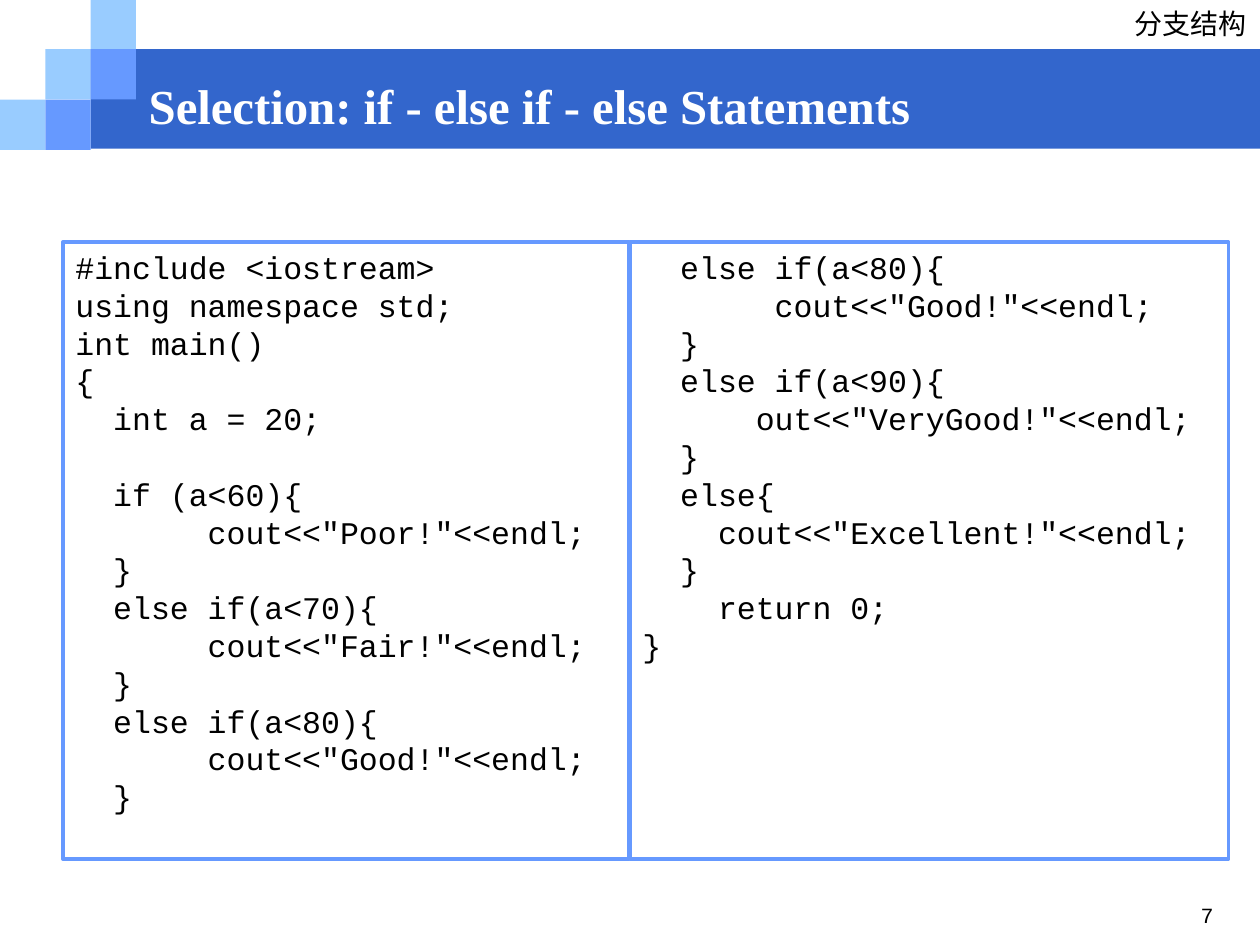
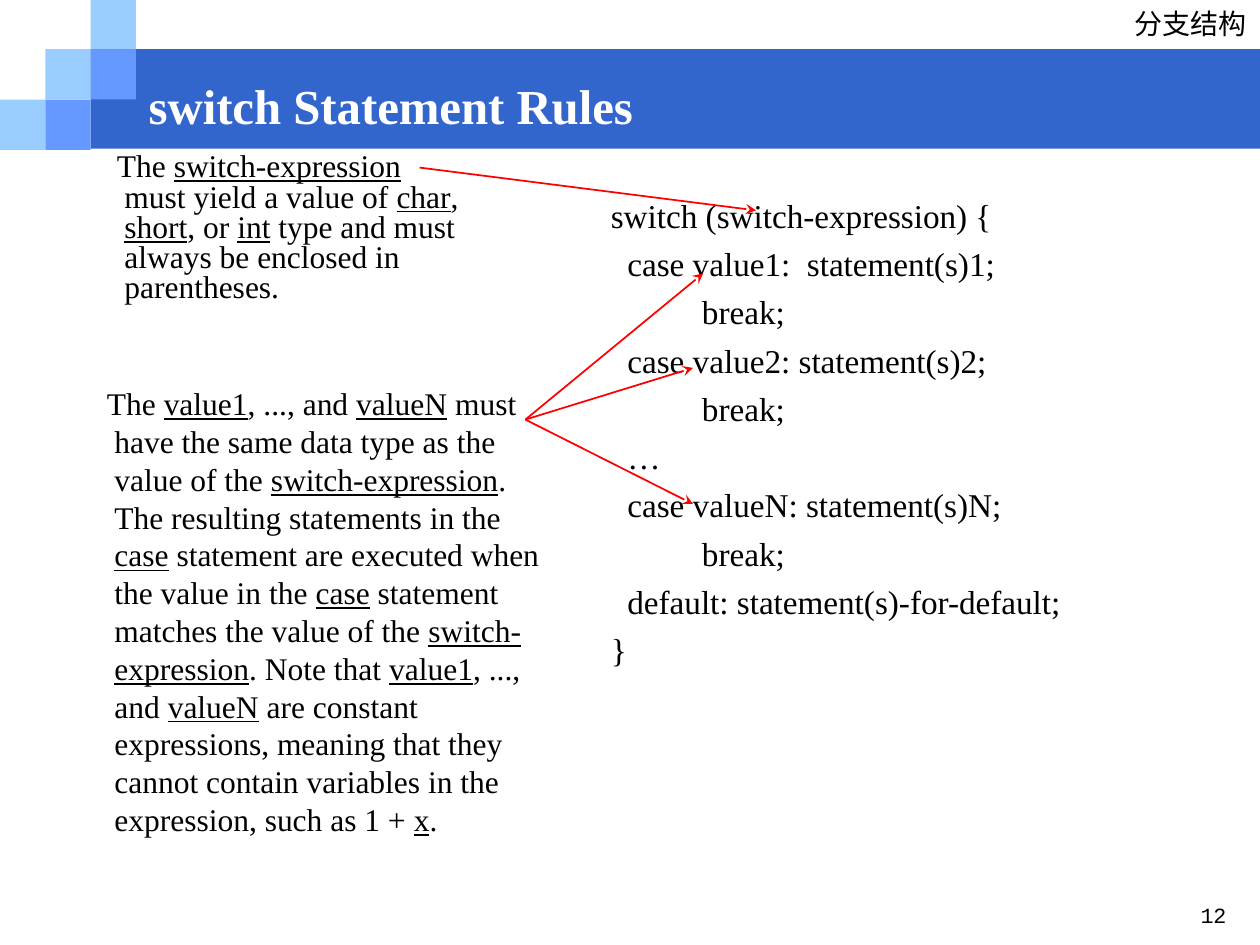
from dataclasses import dataclass

from lxml import etree
from pptx import Presentation
from pptx.dml.color import RGBColor
from pptx.enum.shapes import MSO_CONNECTOR, MSO_SHAPE
from pptx.enum.text import MSO_ANCHOR, MSO_AUTO_SIZE, PP_ALIGN
from pptx.oxml.ns import qn
from pptx.util import Inches, Pt

RECTANGLE = MSO_SHAPE.RECTANGLE
STRAIGHT = MSO_CONNECTOR.STRAIGHT
TOP, MIDDLE = MSO_ANCHOR.TOP, MSO_ANCHOR.MIDDLE
LEFT, RIGHT = PP_ALIGN.LEFT, PP_ALIGN.RIGHT
NO_AUTOFIT = MSO_AUTO_SIZE.NONE

# Colours and fonts
BAND, LIGHT, MID = "3366CC", "99CCFF", "6699FF"
WHITE, BLACK, RED = "FFFFFF", "000000", "FF0000"
SERIF, MONO, CJK = "Times New Roman", "Courier New", "Noto Sans CJK SC"

# Corner staircase: column and row of each square
CELL_W, CELL_H = 0.36, 0.4
ROW_TOPS = (0, 0.39, 0.79)
STAIRS = {LIGHT: ((0, 2), (1, 1), (2, 0)), MID: ((2, 1), (1, 2))}
TOPIC = "分支结构"
TITLE_ONLY = 5


@dataclass(frozen=True)
class Box:
    left: float
    top: float
    width: float
    height: float

    def lengths(self) -> tuple:
        return tuple(Inches(v) for v in (self.left, self.top, self.width, self.height))


@dataclass(frozen=True)
class Style:
    font: str
    size: float
    color: str = BLACK
    bold: bool = False
    align: PP_ALIGN = LEFT
    line_spacing: float = 1.0
    space_before: float = 0
    hanging: float = 0


@dataclass(frozen=True)
class Rule:
    """A rule with _underlined_ terms and arrows to where it applies."""
    box: Box
    style: Style
    text: str
    arrow_start: tuple[float, float]
    arrow_ends: tuple[tuple[float, float], ...]


TITLE = Style(SERIF, 27.9, WHITE, bold=True, line_spacing=0.8)
TOPIC_LABEL = Style(CJK, 16, align=RIGHT)
PAGE_NUMBER = Style(MONO, 12.4, line_spacing=0.8)
CODE = Style(MONO, 18)
SYNTAX = Style(SERIF, 19, space_before=4.8)
TIGHT_RULE = Style(SERIF, 18, line_spacing=0.8, hanging=0.06)
LOOSE_RULE = Style(SERIF, 18, hanging=0.06)

CODE_PANELS = (
    (Box(0.5, 1.92, 4.49, 4.9), """#include <iostream>
using namespace std;
int main()
{
  int a = 20;

  if (a<60){
       cout<<"Poor!"<<endl;
  }
  else if(a<70){
       cout<<"Fair!"<<endl;
  }
  else if(a<80){
       cout<<"Good!"<<endl;
  }"""),
    (Box(5, 1.92, 4.75, 4.9), """  else if(a<80){
       cout<<"Good!"<<endl;
  }
  else if(a<90){
      out<<"VeryGood!"<<endl;
  }
  else{
    cout<<"Excellent!"<<endl;
  }
    return 0;
}"""),
)

SWITCH_SYNTAX = """switch (switch-expression) {
  case value1:  statement(s)1;
           break;
  case value2: statement(s)2;
           break;
  …
  case valueN: statement(s)N;
           break;
  default: statement(s)-for-default;
}"""

RULES = (
    Rule(Box(0.83, 1.17, 3, 1.42), TIGHT_RULE,
         "The _switch-expression_ must yield a value of _char_, _short_, or _int_ "
         "type and must always be enclosed in parentheses.",
         (3.33, 1.33), ((6, 1.67),)),
    Rule(Box(0.75, 3, 3.75, 3.75), LOOSE_RULE,
         "The _value1_, ..., and _valueN_ must have the same data type as the value "
         "of the _switch-expression_. The resulting statements in the _case_ statement "
         "are executed when the value in the _case_ statement matches the value of the "
         "_switch-expression_. Note that _value1_, ..., and _valueN_ are constant "
         "expressions, meaning that they cannot contain variables in the expression, "
         "such as 1 + _x_.",
         (4.17, 3.33), ((5.58, 2.17), (5.5, 2.92), (5.5, 4))),
)


def rgb(color: str) -> RGBColor:
    return RGBColor.from_string(color)


def write(tf, text: str, style: Style, anchor=TOP, wrap: bool = True) -> None:
    """Fill a text frame; an empty line becomes space before the next one."""
    tf.word_wrap, tf.auto_size, tf.vertical_anchor = wrap, NO_AUTOFIT, anchor
    tf.margin_left = tf.margin_right = Inches(0.1)
    tf.margin_top = tf.margin_bottom = Inches(0.05)
    p, gap = None, 0
    for line in text.split("\n"):
        if not line:
            gap = style.size * 1.2
            continue
        before = style.space_before + gap if p is not None else 0
        p = tf.paragraphs[0] if p is None else tf.add_paragraph()
        p.alignment, p.line_spacing = style.align, style.line_spacing
        p.space_before, gap = Pt(before), 0
        if style.hanging:
            p_pr = p._p.get_or_add_pPr()
            p_pr.set("marL", str(Inches(style.hanging)))
            p_pr.set("indent", str(-Inches(style.hanging)))
        for i, part in enumerate(line.split("_")):
            if part:
                add_run(p, part, style, underline=i % 2 == 1)


def add_run(p, text: str, style: Style, underline: bool) -> None:
    r = p.add_run()
    r.text = text
    f = r.font
    f.name, f.size, f.bold = style.font, Pt(style.size), style.bold
    f.color.rgb = rgb(style.color)
    if underline:
        f.underline = True
    if style.font == CJK:
        etree.SubElement(r._r.get_or_add_rPr(), qn("a:ea"), typeface=CJK)


def add_rect(s, box: Box, fill: str, line: str = ""):
    sp = s.shapes.add_shape(RECTANGLE, *box.lengths())
    sp.shadow.inherit = False
    sp.fill.solid()
    sp.fill.fore_color.rgb = rgb(fill)
    if line:
        sp.line.color.rgb = rgb(line)
        sp.line.width = Pt(2)
    else:
        sp.line.fill.background()
    return sp


def add_text(s, box: Box, text: str, style: Style, wrap: bool = True) -> None:
    write(s.shapes.add_textbox(*box.lengths()).text_frame, text, style, wrap=wrap)


def add_arrow(s, start: tuple[float, float], end: tuple[float, float]) -> None:
    line = s.shapes.add_connector(STRAIGHT, *(Inches(v) for v in start + end))
    line.line.color.rgb = rgb(RED)
    line.line.width = Pt(1)
    etree.SubElement(line.line._get_or_add_ln(), qn("a:tailEnd"), type="stealth")
    etree.SubElement(line._element.spPr, qn("a:effectLst"))


def add_slide(prs, title: str, number: int):
    """Start a slide with the shared band, staircase, topic, number and title."""
    s = prs.slides.add_slide(prs.slide_layouts[TITLE_ONLY])
    add_rect(s, Box(0.72, 0.39, 9.28, 0.79), BAND)
    for color, cells in STAIRS.items():
        for col, row in cells:
            add_rect(s, Box(col * CELL_W, ROW_TOPS[row], CELL_W, CELL_H), color)
    add_text(s, Box(8.91, 0, 1.08, 0.37), TOPIC, TOPIC_LABEL, wrap=False)
    add_text(s, Box(9.43, 7.15, 0.57, 0.35), str(number), PAGE_NUMBER)

    # The title placeholder goes in front of the band
    sp = s.shapes.title
    sp.left, sp.top, sp.width, sp.height = Box(1.08, 0.59, 8.92, 0.58).lengths()
    write(sp.text_frame, title, TITLE, anchor=MIDDLE)
    sp.element.getparent().append(sp.element)
    return s


def build_else_if_slide(prs) -> None:
    s = add_slide(prs, "Selection: if - else if - else Statements", 7)
    for box, code in CODE_PANELS:
        write(add_rect(s, box, WHITE, MID).text_frame, code, CODE)


def build_switch_slide(prs) -> None:
    s = add_slide(prs, "switch Statement Rules", 12)
    add_text(s, Box(4.75, 1.5, 4, 4.17), SWITCH_SYNTAX, SYNTAX)
    for rule in RULES:
        add_text(s, rule.box, rule.text, rule.style)
        for end in rule.arrow_ends:
            add_arrow(s, rule.arrow_start, end)


def main() -> None:
    prs = Presentation()
    prs.slide_width, prs.slide_height = Inches(10), Inches(7.5)
    build_else_if_slide(prs)
    build_switch_slide(prs)
    prs.save("out.pptx")


if __name__ == "__main__":
    main()
